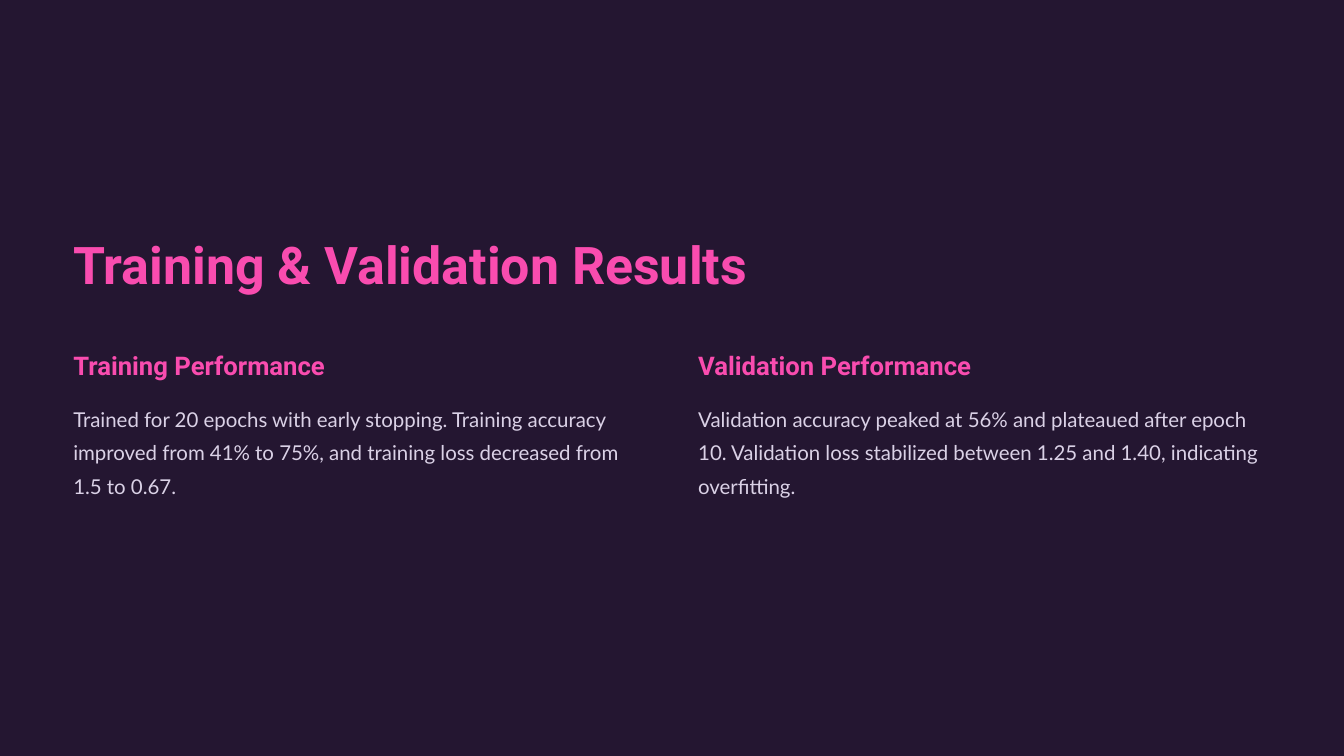
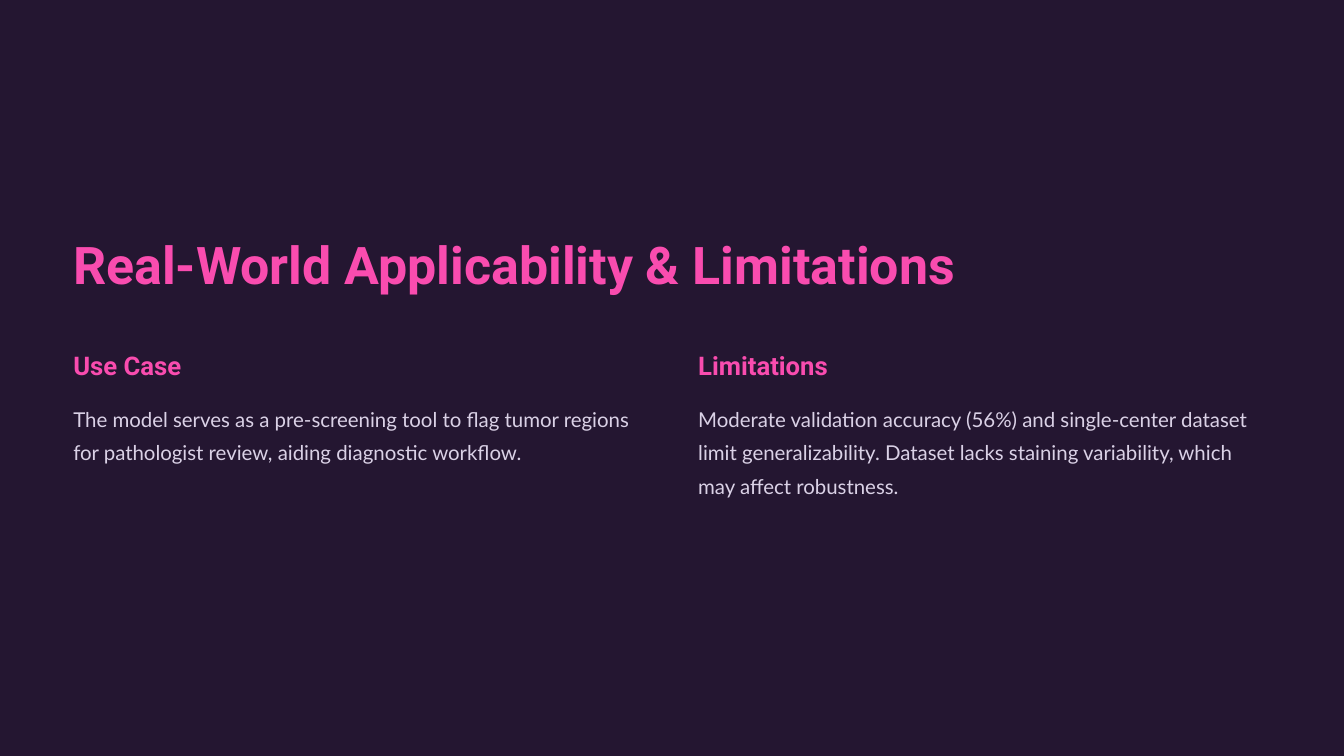
from dataclasses import dataclass

from pptx import Presentation
from pptx.dml.color import RGBColor as RGB
from pptx.enum.shapes import MSO_SHAPE as Shape
from pptx.enum.text import MSO_ANCHOR as Anchor, MSO_AUTO_SIZE as AutoSize, PP_ALIGN as Align
from pptx.oxml.xmlchemy import OxmlElement
from pptx.util import Inches, Pt

COLORS = {"base": "110C17", "panel": "241631", "accent": "F94CAF", "body": "DAD1E6"}

# Page grid in inches: two equal columns from the left margin
PAGE_W, PAGE_H = 20, 11.25
MARGIN, COL_W, GAP = 1.09, 8.54, 0.76
TITLE_TOP, TITLE_H = 3.43, 1.02
HEADING_TOP, HEADING_H = 5.18, 0.52
BODY_TOP, BODY_LINE, BODY_PAD = 5.93, 0.5, 0.07
COMPARISON_LAYOUT = 4


@dataclass(frozen=True)
class TextStyle:
    font: str
    size: float
    leading: float
    color: str
    bold: bool = False


TITLE = TextStyle("Roboto", 55.6, 69.38, "accent", True)
HEADING = TextStyle("Roboto", 27.5, 34.38, "accent", True)
BODY = TextStyle("Lato", 21.87, 35.63, "body")


@dataclass(frozen=True)
class Column:
    heading: str
    body: str
    lines: int = 3
    heading_width: float = 3.88


@dataclass(frozen=True)
class Page:
    title: str
    title_width: float
    columns: tuple[Column, Column]


PAGES = (
    Page("Training & Validation Results", 11.24, (
        Column("Training Performance",
               "Trained for 20 epochs with early stopping. Training accuracy improved "
               "from 41% to 75%, and training loss decreased from 1.5 to 0.67."),
        Column("Validation Performance",
               "Validation accuracy peaked at 56% and plateaued after epoch 10. "
               "Validation loss stabilized between 1.25 and 1.40, indicating overfitting.",
               heading_width=4.26),
    )),
    Page("Real-World Applicability & Limitations", 14.73, (
        Column("Use Case",
               "The model serves as a pre-screening tool to flag tumor regions for "
               "pathologist review, aiding diagnostic workflow.", lines=2),
        Column("Limitations",
               "Moderate validation accuracy (56%) and single-center dataset limit "
               "generalizability. Dataset lacks staining variability, which may affect "
               "robustness."),
    )),
)


def add_backdrop(s) -> None:
    """Put the full-page base and panel behind the placeholders."""
    tree = s.shapes._spTree
    first = tree.index(s.shapes[0]._element)
    for i, color in enumerate(("base", "panel")):
        sp = s.shapes.add_shape(Shape.RECTANGLE, 0, 0, Inches(PAGE_W), Inches(PAGE_H))
        sp.shadow.inherit = False
        sp.fill.solid()
        sp.fill.fore_color.rgb = RGB.from_string(COLORS[color])
        sp.line.fill.background()
        tree.insert(first + i, sp._element)


def fill_placeholder(sp, text: str, style: TextStyle,
                     box: tuple[float, float, float, float]) -> None:
    """Place a placeholder and give it one plain, left-aligned paragraph."""
    sp.left, sp.top, sp.width, sp.height = map(Inches, box)
    tf = sp.text_frame
    tf.text = text
    tf.word_wrap = True
    tf.auto_size = AutoSize.NONE
    tf.vertical_anchor = Anchor.TOP
    tf.margin_left = tf.margin_top = tf.margin_right = tf.margin_bottom = 0

    # Remove the inherited bullet and indent
    p = tf.paragraphs[0]
    p_pr = p._p.get_or_add_pPr()
    p_pr.set("marL", "0")
    p_pr.set("indent", "0")
    p_pr.append(OxmlElement("a:buNone"))
    p.alignment = Align.LEFT
    p.line_spacing = Pt(style.leading)
    p.space_before = p.space_after = Pt(0)

    font = p.runs[0].font
    font.name, font.size, font.bold = style.font, Pt(style.size), style.bold
    font.color.rgb = RGB.from_string(COLORS[style.color])


def add_page(prs, page: Page) -> None:
    s = prs.slides.add_slide(prs.slide_layouts[COMPARISON_LAYOUT])
    add_backdrop(s)
    fill_placeholder(s.shapes.title, page.title, TITLE,
                     (MARGIN, TITLE_TOP, page.title_width, TITLE_H))

    # The layout holds a heading and a body placeholder for each column
    _, *slots = s.placeholders
    for i, col in enumerate(page.columns):
        heading, body = slots[2 * i:2 * i + 2]
        left = MARGIN + i * (COL_W + GAP)
        fill_placeholder(heading, col.heading, HEADING,
                         (left, HEADING_TOP, col.heading_width, HEADING_H))
        fill_placeholder(body, col.body, BODY,
                         (left, BODY_TOP, COL_W, col.lines * BODY_LINE + BODY_PAD))


def main() -> None:
    prs = Presentation()
    prs.slide_width, prs.slide_height = Inches(PAGE_W), Inches(PAGE_H)
    for page in PAGES:
        add_page(prs, page)
    prs.save("out.pptx")


if __name__ == "__main__":
    main()
